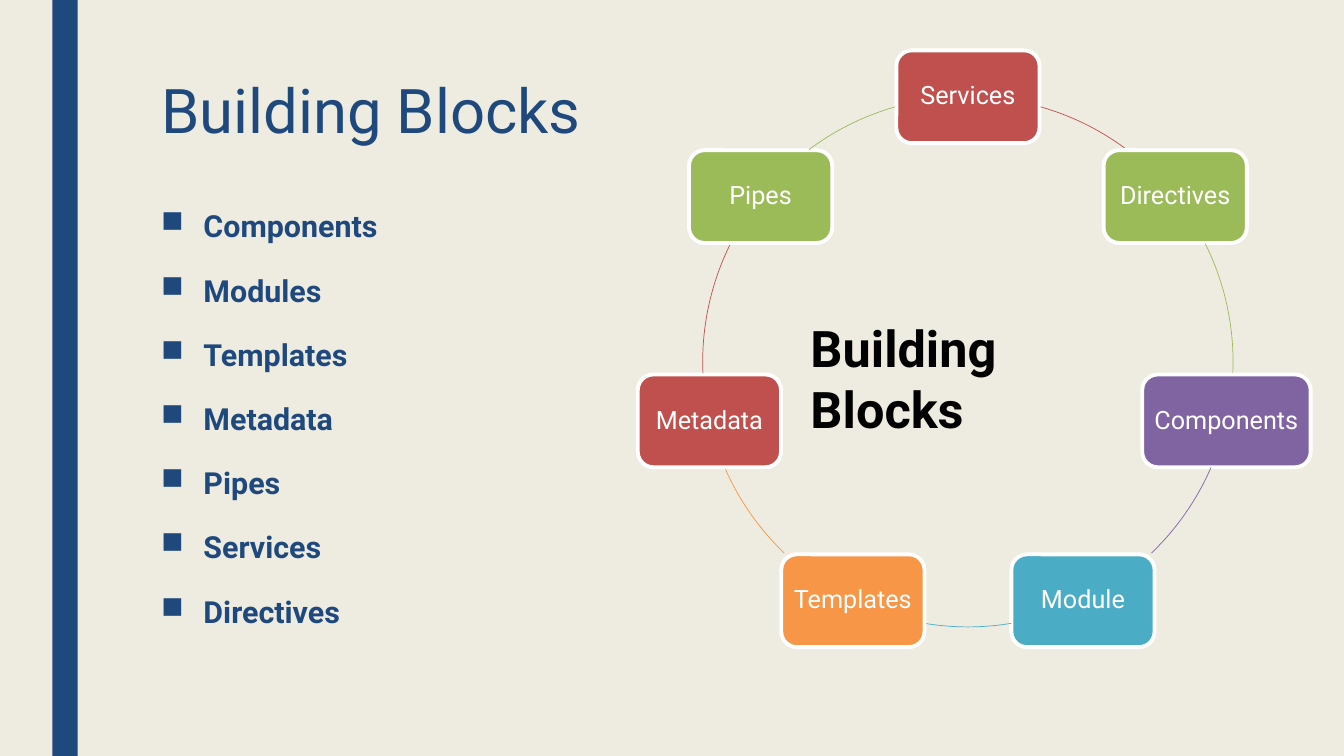
import math

import lxml.etree
import pptx
import pptx.dml.color
import pptx.enum.shapes
import pptx.enum.text
import pptx.oxml.ns
import pptx.util

Inches, Pt = pptx.util.Inches, pptx.util.Pt
Shape = pptx.enum.shapes.MSO_SHAPE
Align = pptx.enum.text.PP_ALIGN
Anchor = pptx.enum.text.MSO_ANCHOR

COLORS = {
    "background": "EEECE1", "navy": "1F497D", "white": "FFFFFF", "black": "000000",
    "red": "C0504D", "green": "9BBB59", "purple": "8064A2", "teal": "4BACC6",
    "orange": "F79646",
}
BULLETS = ["Components", "Modules", "Templates", "Metadata", "Pipes", "Services",
           "Directives"]
# Label, colour, box width, start and end angle of the arc that follows
# (degrees clockwise from three o'clock)
NODES = [
    ("Services", "red", 1.42, 285.9, 306.8),
    ("Directives", "green", 1.42, 333.6, 2.4),
    ("Components", "purple", 1.67, 23.5, 46.2),
    ("Module", "teal", 1.42, 80.6, 99.4),
    ("Templates", "orange", 1.42, 133.8, 156.5),
    ("Metadata", "red", 1.42, 177.6, 206.4),
    ("Pipes", "green", 1.42, 233.2, 254.1),
]
CENTER_X, CENTER_Y, RADIUS = 9.6, 3.59, 2.63
NODE_HEIGHT = 0.92


class Deck:
    """Holds the font, the colours and the slide being drawn."""

    def __init__(self, slide, font="Roboto"):
        self.slide = slide
        self.font = font

    def color(self, name):
        return pptx.dml.color.RGBColor.from_string(COLORS[name])

    def background(self, color):
        fill = self.slide.background.fill
        fill.solid()
        fill.fore_color.rgb = self.color(color)

    def shape(self, kind, box, fill=None, line=None, width=0):
        s = self.slide.shapes.add_shape(kind, *map(Inches, box))
        s.shadow.inherit = False
        if fill:
            s.fill.solid()
            s.fill.fore_color.rgb = self.color(fill)
        else:
            s.fill.background()
        if line:
            s.line.color.rgb = self.color(line)
            s.line.width = Pt(width)
        else:
            s.line.fill.background()
        return s

    def set_text(self, tf, text, size, color, bold=False, spacing=1.0, align=Align.LEFT):
        """Fill a text frame, one paragraph per line of text."""
        tf.word_wrap = True
        tf.text = text
        for p in tf.paragraphs:
            p.line_spacing = spacing
            p.alignment = align
            for r in p.runs:
                r.font.name = self.font
                r.font.size = Pt(size)
                r.font.bold = bold
                r.font.color.rgb = self.color(color)

    def text(self, box, text, size, color, **style):
        tf = self.slide.shapes.add_textbox(*map(Inches, box)).text_frame
        self.set_text(tf, text, size, color, **style)
        return tf

    def bullets(self, box, items, size, color):
        tf = self.text(box, "\n".join(items), size, color, bold=True, spacing=1.3)
        for p in tf.paragraphs:
            p.space_before, p.space_after = Pt(10), Pt(2)
            pPr = p._p.get_or_add_pPr()
            pPr.set("marL", str(Inches(0.42)))
            pPr.set("indent", str(Inches(-0.42)))
            bullet = lxml.etree.SubElement(pPr, pptx.oxml.ns.qn("a:buChar"))
            bullet.set("char", "■")

    def node(self, x, y, width, label, color):
        """Draw a rounded box centred on x, y."""
        box = (x - width / 2, y - NODE_HEIGHT / 2, width, NODE_HEIGHT)
        s = self.shape(Shape.ROUNDED_RECTANGLE, box, color, "white", 2.75)
        tf = s.text_frame
        tf.margin_left = tf.margin_right = Inches(0.07)
        tf.margin_top = tf.margin_bottom = Inches(0.07)
        tf.vertical_anchor = Anchor.MIDDLE
        self.set_text(tf, label, 18, "white", spacing=0.9, align=Align.CENTER)

    def arc(self, start, end, color):
        box = (CENTER_X - RADIUS, CENTER_Y - RADIUS, 2 * RADIUS, 2 * RADIUS)
        s = self.shape(Shape.ARC, box, line=color, width=0.5)
        for i, degrees in enumerate((start, end)):
            s.adjustments[i] = degrees * 0.6  # 60000 units a degree, over 100000


def main():
    prs = pptx.Presentation()
    prs.slide_width, prs.slide_height = Inches(13.33), Inches(7.5)
    deck = Deck(prs.slides.add_slide(prs.slide_layouts[6]))

    deck.background("background")
    deck.shape(Shape.RECTANGLE, (0.52, 0, 0.25, 7.5), "navy")
    deck.text((1.5, 0.75, 10.5, 0.92), "Building Blocks", 44, "navy", spacing=0.89)
    deck.bullets((1.5, 1.9, 10.5, 4.51), BULLETS, 21.7, "navy")

    for i, (label, color, width, start, end) in enumerate(NODES):
        angle = 2 * math.pi * i / len(NODES)
        x = CENTER_X + RADIUS * math.sin(angle)
        y = CENTER_Y - RADIUS * math.cos(angle)
        deck.node(x, y, width, label, color)
        deck.arc(start, end, color)
    deck.text((7.94, 3.1, 3.45, 0.71), "Building Blocks", 36, "black", bold=True)

    prs.save("out.pptx")


if __name__ == "__main__":
    main()
